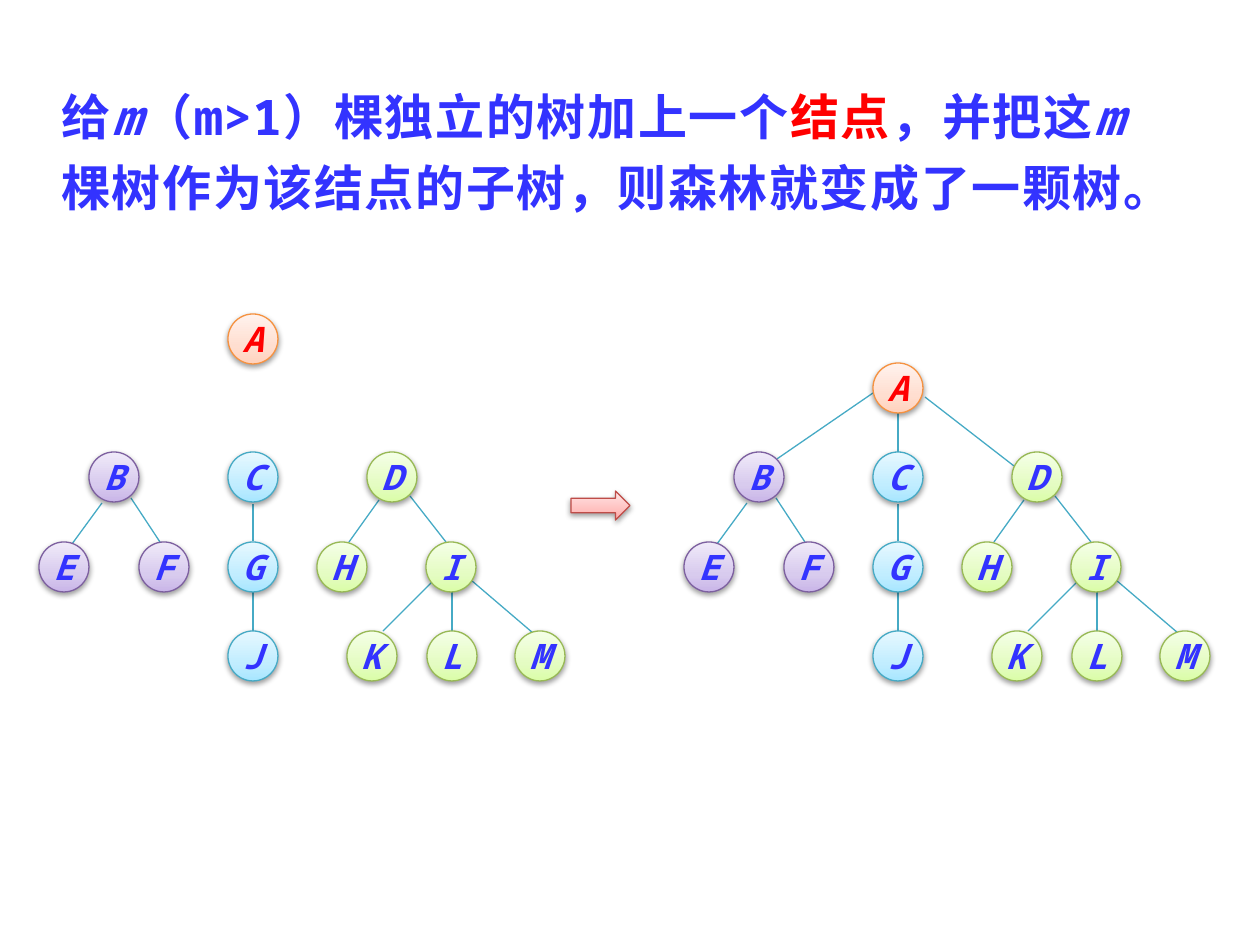
"""Build a slide showing how a forest becomes one tree under a new root."""
from copy import deepcopy

from pptx import Presentation
from pptx.dml.color import RGBColor
from pptx.enum.shapes import MSO_CONNECTOR, MSO_SHAPE
from pptx.enum.text import MSO_ANCHOR, MSO_AUTO_SIZE, PP_ALIGN
from pptx.oxml import parse_xml
from pptx.oxml.ns import nsdecls
from pptx.util import Emu, Pt

FONT = "Noto Sans Mono"
BLUE, RED, TEAL = "3333FF", "FF0000", "46AAC5"
STATEMENT = [
    ("给", BLUE, False),
    ("m", BLUE, True),
    ("（m>1）棵独立的树加上一个", BLUE, False),
    ("结点", RED, False),
    ("，并把这", BLUE, False),
    ("m", BLUE, True),
    ("棵树作为该结点的子树，则森林就变成了一颗树。", BLUE, False),
]
PALETTES = {
    "orange": (("FFD2BD", "FFDED0", "FFF2ED"), "F69240"),
    "purple": (("C9B5E8", "D8CBEE", "F0EAF9"), "7D60A0"),
    "cyan": (("A7E6FF", "C1EDFF", "E7F8FF"), TEAL),
    "green": (("DAFDA7", "E4FCC2", "F5FFE7"), "98B955"),
    "red": (("FFA6A5", "FFC0BF", "FFE7E7"), "BF4C48"),
}
STOPS = (0, 0.35, 1)
NODE_SIZE = 50
ROOT_LEFT, ROOT_TOP_ALONE, ROOT_TOP_JOINED = 228, 314, 363
LEVELS = [
    (452, [("B", 89, "purple"), ("C", 228, "cyan"), ("D", 367, "green")]),
    (542, [("E", 39, "purple"), ("F", 139, "purple"), ("G", 228, "cyan"),
           ("H", 317, "green"), ("I", 426, "green")]),
    (631, [("J", 228, "cyan"), ("K", 347, "green"), ("L", 427, "green"),
           ("M", 515, "green")]),
]
FOREST_EDGES = [
    (102, 503, 72, 544), (131, 498, 160, 542), (253, 504, 253, 541),
    (253, 592, 253, 631), (379, 500, 349, 542), (410, 496, 446, 542),
    (432, 582, 383, 631), (452, 592, 452, 631), (471, 580, 533, 633),
]
ROOT_EDGES = [(228, 393, 129, 461), (253, 413, 253, 452), (280, 397, 369, 466)]
TREE_SHIFT = 645


def px(length):
    return Emu(round(length * 914400 / 126))


def color(value):
    return RGBColor.from_string(value)


def add_span(para, text, size, text_color, italic):
    span = para.add_run()
    span.text = text
    font = span.font
    font.name, font.size, font.bold, font.italic = FONT, Pt(size), True, italic
    font.color.rgb = color(text_color)


def add_glossy(shapes, kind, left, top, width, height, palette):
    shape = shapes.add_shape(kind, px(left), px(top), px(width), px(height))
    tones, outline = PALETTES[palette]
    shape.fill.gradient()
    shape.fill.gradient_angle = 90
    stop_list = shape.element.xpath(".//a:gsLst")[0]
    stop_list.append(deepcopy(stop_list[0]))
    for stop, position, tone in zip(shape.fill.gradient_stops, STOPS, tones):
        stop.position = position
        stop.color.rgb = color(tone)
    shape.line.color.rgb = color(outline)
    shape.line.width = Pt(0.75)
    shape.shadow.inherit = False
    shape.element.xpath("./p:spPr/a:effectLst")[0].append(parse_xml(
        f'<a:outerShdw {nsdecls("a")} blurRad="40000" dist="20000" dir="5400000" '
        'rotWithShape="0"><a:srgbClr val="000000"><a:alpha val="38000"/>'
        '</a:srgbClr></a:outerShdw>'))
    return shape


def add_node(shapes, label, left, top, palette, text_color=BLUE):
    node = add_glossy(shapes, MSO_SHAPE.OVAL, left, top, NODE_SIZE, NODE_SIZE, palette)
    frame = node.text_frame
    frame.word_wrap = False
    frame.vertical_anchor = MSO_ANCHOR.MIDDLE
    para = frame.paragraphs[0]
    para.alignment = PP_ALIGN.CENTER
    add_span(para, label, 20, text_color, True)


def add_edge(shapes, x1, y1, x2, y2):
    edge = shapes.add_connector(MSO_CONNECTOR.STRAIGHT, px(x1), px(y1), px(x2), px(y2))
    edge.line.color.rgb = color(TEAL)
    edge.line.width = Pt(0.75)
    edge.element.spPr.append(parse_xml(f'<a:effectLst {nsdecls("a")}/>'))


def add_diagram(shapes, shift, root_top, edges):
    for x1, y1, x2, y2 in edges:
        add_edge(shapes, x1 + shift, y1, x2 + shift, y2)
    add_node(shapes, "A", ROOT_LEFT + shift, root_top, "orange", RED)
    for top, nodes in LEVELS:
        for label, left, palette in nodes:
            add_node(shapes, label, left + shift, top, palette)


def add_statement(shapes):
    box = shapes.add_textbox(px(49), px(69), px(1087), px(149))
    frame = box.text_frame
    frame.word_wrap = True
    frame.auto_size = MSO_AUTO_SIZE.SHAPE_TO_FIT_TEXT
    para = frame.paragraphs[0]
    para.alignment = PP_ALIGN.JUSTIFY
    para.line_spacing = 1.2
    for text, text_color, italic in STATEMENT:
        add_span(para, text, 28, text_color, italic)


def main():
    deck = Presentation()
    deck.slide_width, deck.slide_height = px(1260), px(945)
    page = deck.slides.add_slide(deck.slide_layouts[6])
    add_statement(page.shapes)
    add_diagram(page.shapes, 0, ROOT_TOP_ALONE, FOREST_EDGES)
    tree = page.shapes.add_group_shape()
    add_diagram(tree.shapes, TREE_SHIFT, ROOT_TOP_JOINED, ROOT_EDGES + FOREST_EDGES)
    add_glossy(page.shapes, MSO_SHAPE.RIGHT_ARROW, 571, 491, 59, 29, "red")
    deck.save("out.pptx")


if __name__ == "__main__":
    main()
